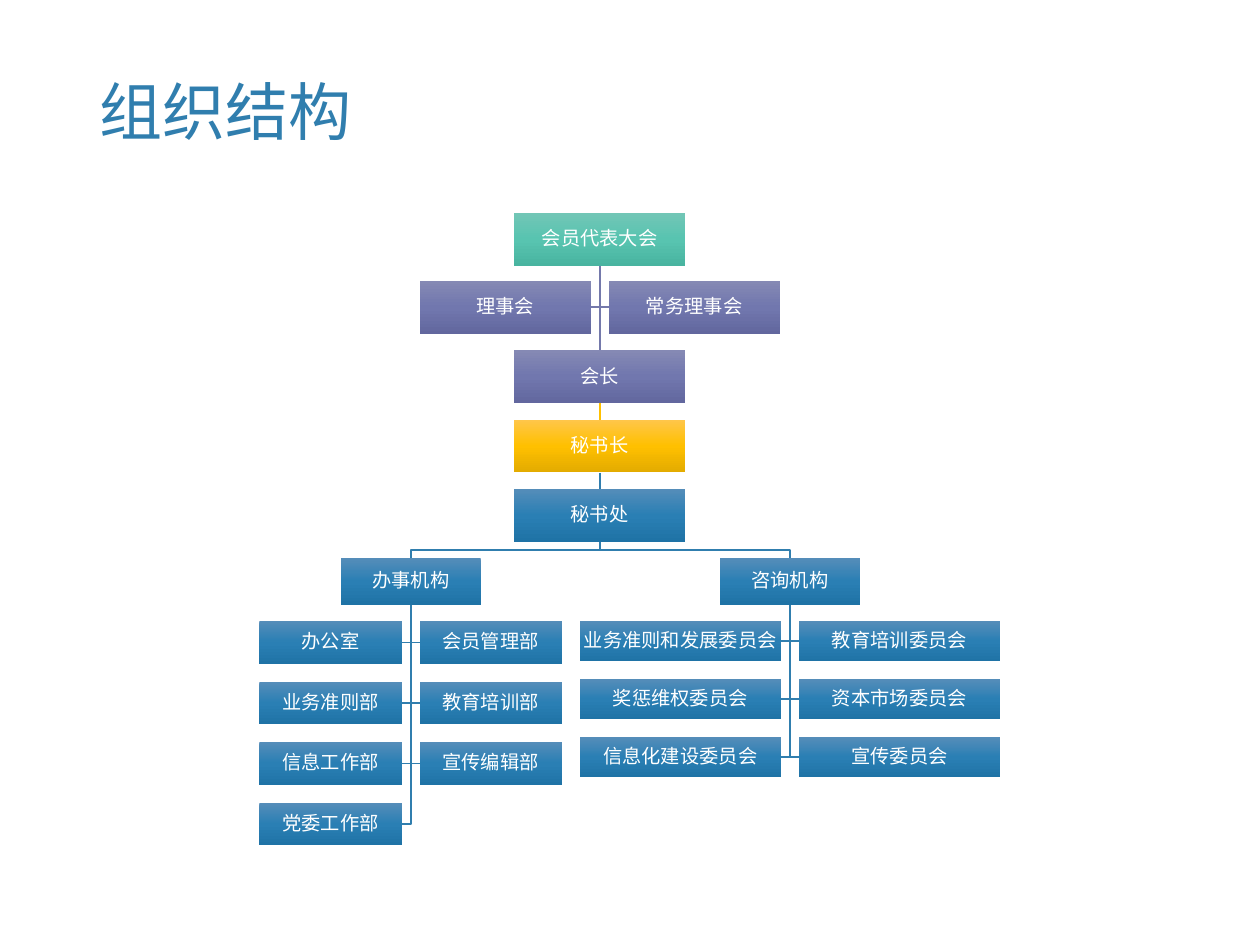
import copy

import pptx
import pptx.dml.color
import pptx.enum.shapes
import pptx.enum.text
import pptx.oxml.ns
import pptx.util

Inches = pptx.util.Inches
Pt = pptx.util.Pt
Anchor = pptx.enum.text.MSO_ANCHOR
Align = pptx.enum.text.PP_ALIGN

FONT = "Arial"
COLORS = {"blue": "307EAE", "purple": "7479AB", "gold": "FFC000", "white": "FFFFFF"}
# Top, middle and bottom of each box gradient
GRADIENTS = {
    "green": ("72C6B6", "58C4B0", "49B4A0"),
    "purple": ("8589B4", "7177AE", "62679E"),
    "gold": ("FFC64B", "FFC000", "E3AB00"),
    "blue": ("558DB9", "2A7FB4", "1F73A6"),
}

SPINE = 4.76
HALF_GAP = 0.07
MAIN_WIDTH, MAIN_HEIGHT = 1.36, 0.42
COUNCIL_TOP = 2.23
BRANCH_TOP, BRANCH_WIDTH, BRANCH_HEIGHT = 4.43, 1.11, 0.37
MEMBER_TOP = 4.93

# text, top, colour
CHAIN = [
    ("会员代表大会", 1.69, "green"),
    ("会长", 2.78, "purple"),
    ("秘书长", 3.33, "gold"),
    ("秘书处", 3.88, "blue"),
]
COUNCILS = ["理事会", "常务理事会"]
BRANCHES = [
    {
        "name": "办事机构", "center": 3.26, "size": (1.13, 0.34), "pitch": 0.48,
        "members": ["办公室", "会员管理部", "业务准则部", "教育培训部",
                    "信息工作部", "宣传编辑部", "党委工作部"],
    },
    {
        "name": "咨询机构", "center": 6.27, "size": (1.6, 0.32), "pitch": 0.46,
        "members": ["业务准则和发展委员会", "教育培训委员会", "奖惩维权委员会",
                    "资本市场委员会", "信息化建设委员会", "宣传委员会"],
    },
]


def rgb(value):
    return pptx.dml.color.RGBColor.from_string(value)


def write(paragraph, text, size, color):
    paragraph.line_spacing = 0.9
    span = paragraph.add_run()
    span.text = text
    span.font.name = FONT
    span.font.size = Pt(size)
    span.font.color.rgb = rgb(COLORS[color])


def add_title(page, text):
    title = page.shapes.title
    title.left, title.top = Inches(0.69), Inches(0.4)
    title.width, title.height = Inches(8.62), Inches(1.03)
    title.text_frame.vertical_anchor = Anchor.MIDDLE
    paragraph = title.text_frame.paragraphs[0]
    paragraph.alignment = Align.LEFT
    write(paragraph, text, 36, "blue")


def fill_gradient(shape, colors):
    """Fill from top to bottom with three evenly spaced colours."""
    shape.fill.gradient()
    shape.fill.gradient_angle = 270
    stop_list = shape.fill.gradient_stops
    first = shape._element.spPr.find(".//" + pptx.oxml.ns.qn("a:gs"))
    first.addnext(copy.deepcopy(first))
    stop_list = shape.fill.gradient_stops
    for stop, position, color in zip(stop_list, (0, 0.5, 1), colors):
        stop.position = position
        stop.color.rgb = rgb(color)


def add_box(page, text, left, top, width, height, color):
    box = page.shapes.add_shape(
        pptx.enum.shapes.MSO_SHAPE.RECTANGLE,
        Inches(left), Inches(top), Inches(width), Inches(height))
    box.shadow.inherit = False
    box.line.fill.background()
    fill_gradient(box, GRADIENTS[color])
    frame = box.text_frame
    frame.word_wrap = True
    frame.vertical_anchor = Anchor.MIDDLE
    frame.margin_left = frame.margin_right = Inches(0.01)
    frame.margin_top = frame.margin_bottom = Inches(0.01)
    paragraph = frame.paragraphs[0]
    paragraph.alignment = Align.CENTER
    write(paragraph, text, 11, "white")


def add_elbow(page, points, color):
    """Draw an open line with square corners through the points."""
    corners = [(Inches(x), Inches(y)) for x, y in points]
    builder = page.shapes.build_freeform(*corners[0])
    builder.add_line_segments(corners[1:], close=False)
    elbow = builder.convert_to_shape()
    elbow.shadow.inherit = False
    elbow.fill.background()
    elbow.line.color.rgb = rgb(COLORS[color])
    elbow.line.width = Pt(1)


def add_link(page, top, bottom, color):
    """Draw a vertical line on the spine."""
    link = page.shapes.add_connector(
        pptx.enum.shapes.MSO_CONNECTOR.STRAIGHT,
        Inches(SPINE), Inches(top), Inches(SPINE), Inches(bottom))
    link.line.color.rgb = rgb(COLORS[color])
    link.line.width = Pt(1)
    properties = link._element.spPr
    properties.append(properties.makeelement(pptx.oxml.ns.qn("a:effectLst"), {}))


def add_pairs(page, names, center, start, top, size, pitch, color):
    """Hang boxes in two columns on a trunk that comes down from start."""
    width, height = size
    for index, name in enumerate(names):
        row, column = divmod(index, 2)
        row_top = top + row * pitch
        middle = row_top + height / 2
        edge = center + (HALF_GAP if column else -HALF_GAP)
        left = edge if column else edge - width
        add_elbow(page, [(center, start), (center, middle), (edge, middle)], color)
        add_box(page, name, left, row_top, width, height, color)


def add_chain(page):
    for (_, above, _), (_, below, color) in zip(CHAIN, CHAIN[1:]):
        add_link(page, above + MAIN_HEIGHT, below, color)
    for name, top, color in CHAIN:
        add_box(page, name, SPINE - MAIN_WIDTH / 2, top, MAIN_WIDTH, MAIN_HEIGHT, color)


def add_branch(page, branch):
    center = branch["center"]
    start = CHAIN[-1][1] + MAIN_HEIGHT
    turn = (start + BRANCH_TOP) / 2
    add_elbow(page, [(SPINE, start), (SPINE, turn), (center, turn),
                     (center, BRANCH_TOP)], "blue")
    add_box(page, branch["name"], center - BRANCH_WIDTH / 2, BRANCH_TOP,
            BRANCH_WIDTH, BRANCH_HEIGHT, "blue")
    add_pairs(page, branch["members"], center, BRANCH_TOP + BRANCH_HEIGHT,
              MEMBER_TOP, branch["size"], branch["pitch"], "blue")


def main():
    deck = pptx.Presentation()
    deck.slide_width, deck.slide_height = Inches(10), Inches(7.5)
    page = deck.slides.add_slide(deck.slide_layouts[5])
    add_title(page, "组织结构")
    add_chain(page)
    add_pairs(page, COUNCILS, SPINE, CHAIN[0][1] + MAIN_HEIGHT, COUNCIL_TOP,
              (MAIN_WIDTH, MAIN_HEIGHT), 0, "purple")
    for branch in BRANCHES:
        add_branch(page, branch)
    deck.save("out.pptx")


if __name__ == "__main__":
    main()
